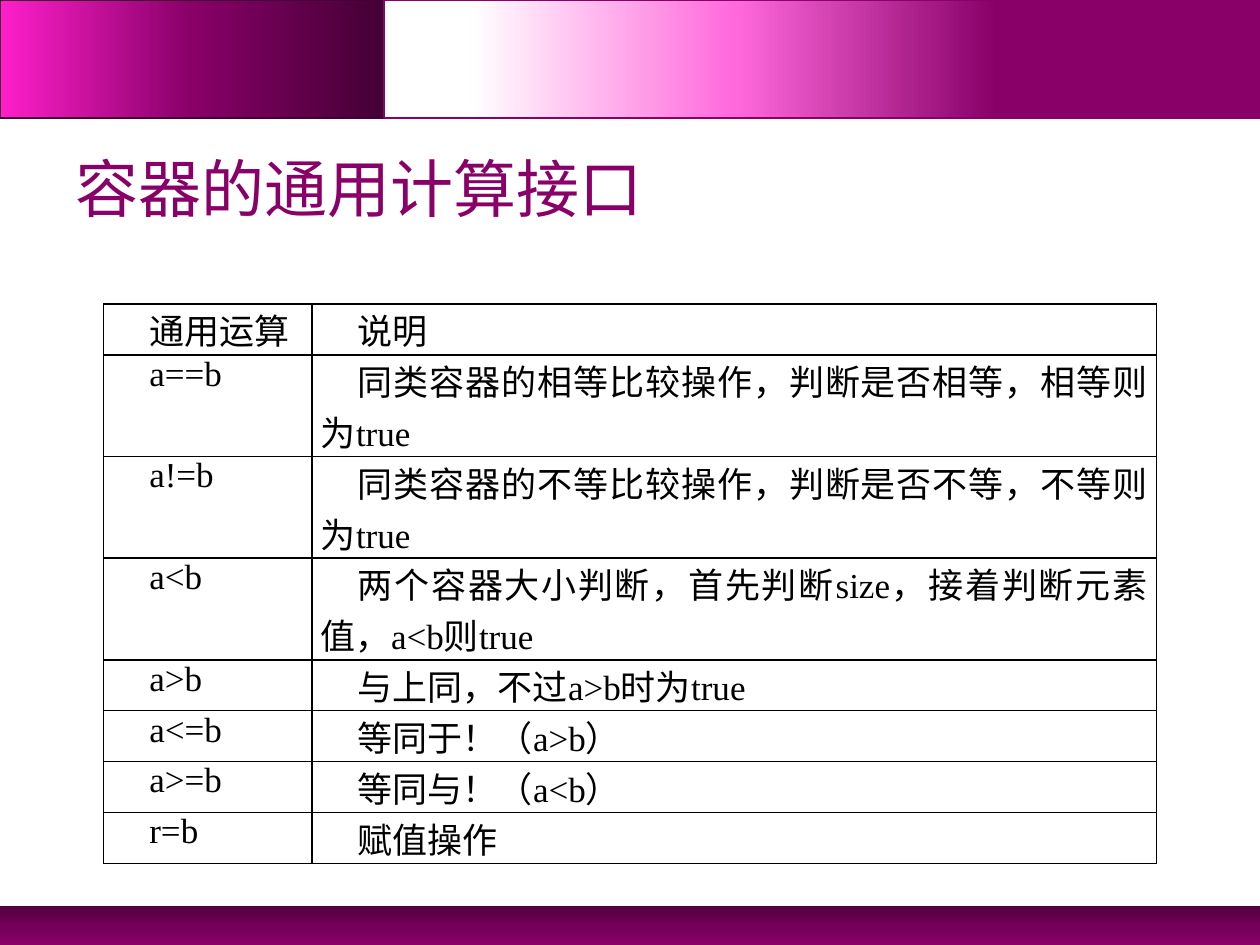
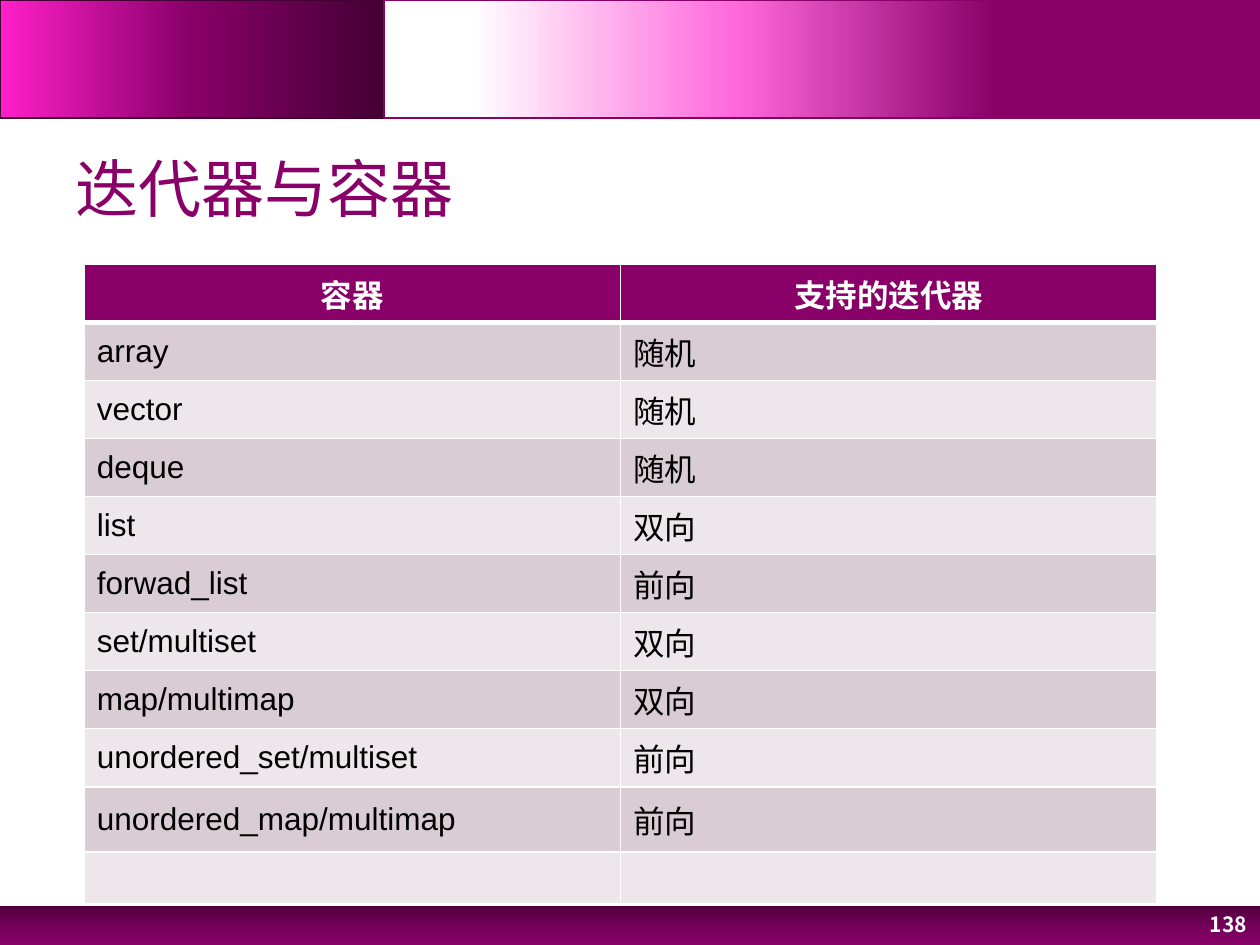
import collections
import lxml.etree
import pptx
import pptx.dml.color
import pptx.enum.shapes
import pptx.enum.text
import pptx.oxml
import pptx.oxml.ns
import pptx.util

Cm = pptx.util.Cm
Pt = pptx.util.Pt
ALIGN = pptx.enum.text.PP_ALIGN
MIDDLE = pptx.enum.text.MSO_ANCHOR.MIDDLE
Box = collections.namedtuple("Box", "left top width height")

PLUM, DARK_PLUM = "880068", "440034"
WHITE, BLACK = "FFFFFF", "000000"
BAND_TINTS = ("EDE7EB", "DACCD4")
LATIN, SERIF, CHINESE = "Arial", "Times New Roman", "Noto Sans CJK SC"

SLIDE = Box(0, 0, 25.4, 19.05)
TITLE = Box(1.27, 2.79, 22.86, 1.98)
PAGE_NUMBER = Box(23.31, 18.19, 2.08, 0.86)
OPERATIONS_TABLE = Box(2.09, 6.13, 21.22, 9.78)
ITERATORS_TABLE = Box(1.7, 5.33, 21.62, 12.88)

OPERATIONS = [
    ("通用运算", "说明"),
    ("a==b", "同类容器的相等比较操作，判断是否相等，相等则为true"),
    ("a!=b", "同类容器的不等比较操作，判断是否不等，不等则为true"),
    ("a<b", "两个容器大小判断，首先判断size，接着判断元素值，a<b则true"),
    ("a>b", "与上同，不过a>b时为true"),
    ("a<=b", "等同于！（a>b）"),
    ("a>=b", "等同与！（a<b）"),
    ("r=b", "赋值操作"),
]
ITERATORS = [
    ("容器", "支持的迭代器"),
    ("array", "随机"),
    ("vector", "随机"),
    ("deque", "随机"),
    ("list", "双向"),
    ("forwad_list", "前向"),
    ("set/multiset", "双向"),
    ("map/multimap", "双向"),
    ("unordered_set/multiset", "前向"),
    ("unordered_map/multimap", "前向"),
    ("", ""),
]


def color(hex_string):
    """Turn a hex string into a colour."""
    return pptx.dml.color.RGBColor.from_string(hex_string)


def lengths(box):
    """Give the four sides of a box as lengths."""
    return [Cm(value) for value in box]


def write(text_frame, text, size=18, font=LATIN, ink=BLACK, bold=False,
          align=ALIGN.LEFT, indent=0):
    """Write one formatted paragraph into a text frame."""
    paragraph = text_frame.paragraphs[0]
    paragraph.alignment = align
    if indent:
        paragraph._p.get_or_add_pPr().set("indent", str(Cm(indent)))
    run = paragraph.add_run()
    run.text = text
    run.font.size = Pt(size)
    run.font.name = font
    run.font.bold = bold
    run.font.color.rgb = color(ink)
    properties = run._r.get_or_add_rPr()
    properties.set("lang", "zh-CN")
    east_asian = pptx.oxml.ns.qn("a:ea")
    lxml.etree.SubElement(properties, east_asian, typeface=CHINESE)


def add_band(slide, box, stops, angle, line=None):
    """Add a rectangle filled with a linear gradient."""
    shape = slide.shapes.add_shape(
        pptx.enum.shapes.MSO_SHAPE.RECTANGLE, *lengths(box))
    shape.shadow.inherit = False
    if line:
        shape.line.color.rgb = color(line)
        shape.line.width = Pt(1)
    else:
        shape.line.fill.background()
    stop_xml = "".join(
        f'<a:gs pos="{position * 1000}"><a:srgbClr val="{tint}"/></a:gs>'
        for position, tint in stops)
    gradient = pptx.oxml.parse_xml(
        f'<a:gradFill {pptx.oxml.ns.nsdecls("a")} rotWithShape="1">'
        f'<a:gsLst>{stop_xml}</a:gsLst>'
        f'<a:lin ang="{angle * 60000}" scaled="0"/></a:gradFill>')
    shape.element.spPr.find(pptx.oxml.ns.qn("a:prstGeom")).addnext(gradient)
    return shape


def add_bands(slide, box):
    """Add the footer band and the two header bands."""
    footer_height, header_height, split = 0.79, 2.38, 7.74
    footer = Box(box.left, box.top + box.height - footer_height,
                 box.width, footer_height)
    header_left = Box(box.left, box.top, split, header_height)
    header_right = Box(box.left + split, box.top,
                       box.width - split, header_height)
    return [
        add_band(slide, footer,
                 [(0, "51003E"), (50, "730058"), (100, PLUM)], 90),
        add_band(slide, header_left,
                 [(0, DARK_PLUM), (50, PLUM), (100, "FF1FCA")], 180,
                 DARK_PLUM),
        add_band(slide, header_right,
                 [(30, PLUM), (60, "FF69DC"), (90, WHITE)], 180, PLUM),
    ]


def share_bands(layout, bands):
    """Move the bands behind the placeholders of the layout."""
    for index, band in enumerate(bands):
        layout.shapes.element.insert(index + 2, band.element)


def add_title(slide, text, box):
    """Place and fill the title placeholder."""
    title = slide.shapes.title
    title.left, title.top, title.width, title.height = lengths(box)
    title.text_frame.vertical_anchor = MIDDLE
    write(title.text_frame, text, size=36, ink=PLUM)


def add_page_number(slide, text, box):
    """Add the page number over the footer band."""
    text_frame = slide.shapes.add_textbox(*lengths(box)).text_frame
    text_frame.word_wrap = True
    text_frame.vertical_anchor = MIDDLE
    write(text_frame, text, size=12, font=CHINESE, ink=WHITE, bold=True,
          align=ALIGN.RIGHT)


def set_borders(cell, tint, bottom=1, top=1):
    """Draw the four borders of a table cell."""
    widths = {"lnL": 1, "lnR": 1, "lnT": top, "lnB": bottom}
    properties = cell._tc.get_or_add_tcPr()
    for index, (side, width) in enumerate(widths.items()):
        properties.insert(index, pptx.oxml.parse_xml(
            f'<a:{side} {pptx.oxml.ns.nsdecls("a")} w="{Pt(width)}">'
            f'<a:solidFill><a:srgbClr val="{tint}"/></a:solidFill>'
            f'</a:{side}>'))


def add_grid(slide, box, rows, column_widths, row_heights):
    """Add an unbanded table and return it."""
    table = slide.shapes.add_table(
        len(rows), len(column_widths), *lengths(box)).table
    table.first_row = table.horz_banding = False
    for column, width in zip(table.columns, column_widths):
        column.width = Cm(width)
    for row, height in zip(table.rows, row_heights):
        row.height = Cm(height)
    return table


def add_operations_table(slide, box):
    """Add the ruled table of common operations."""
    first_width = 4.2
    heights = [0.84, 1.7, 1.7, 1.85] + [0.91] * 4
    table = add_grid(slide, box, OPERATIONS,
                     [first_width, box.width - first_width], heights)
    for row, texts in zip(table.rows, OPERATIONS):
        for cell, text in zip(row.cells, texts):
            cell.margin_left = cell.margin_right = Cm(0.18)
            cell.margin_top = cell.margin_bottom = 0
            cell.fill.background()
            set_borders(cell, BLACK)
            write(cell.text_frame, text, size=20, font=SERIF,
                  align=ALIGN.JUSTIFY, indent=0.74)


def add_iterators_table(slide, box):
    """Add the banded table of containers and iterators."""
    heights = [1.17] * 9 + [1.32, 1.03]
    table = add_grid(slide, box, ITERATORS, [box.width / 2] * 2, heights)
    for index, (row, texts) in enumerate(zip(table.rows, ITERATORS)):
        header = index == 0
        for cell, text in zip(row.cells, texts):
            cell.vertical_anchor = MIDDLE
            cell.fill.solid()
            cell.fill.fore_color.rgb = color(
                PLUM if header else BAND_TINTS[index % 2])
            set_borders(cell, WHITE, bottom=3 if header else 1,
                        top=3 if index == 1 else 1)
            if text:
                write(cell.text_frame, text, bold=header,
                      ink=WHITE if header else BLACK,
                      align=ALIGN.CENTER if header else ALIGN.LEFT)


def main():
    """Build and save the presentation."""
    presentation = pptx.Presentation()
    presentation.slide_width = Cm(SLIDE.width)
    presentation.slide_height = Cm(SLIDE.height)
    layout = presentation.slide_layouts[5]

    operations = presentation.slides.add_slide(layout)
    share_bands(layout, add_bands(operations, SLIDE))
    add_title(operations, "容器的通用计算接口", TITLE)
    add_operations_table(operations, OPERATIONS_TABLE)

    iterators = presentation.slides.add_slide(layout)
    add_title(iterators, "迭代器与容器", TITLE)
    add_page_number(iterators, "138", PAGE_NUMBER)
    add_iterators_table(iterators, ITERATORS_TABLE)

    presentation.save("out.pptx")


if __name__ == "__main__":
    main()
